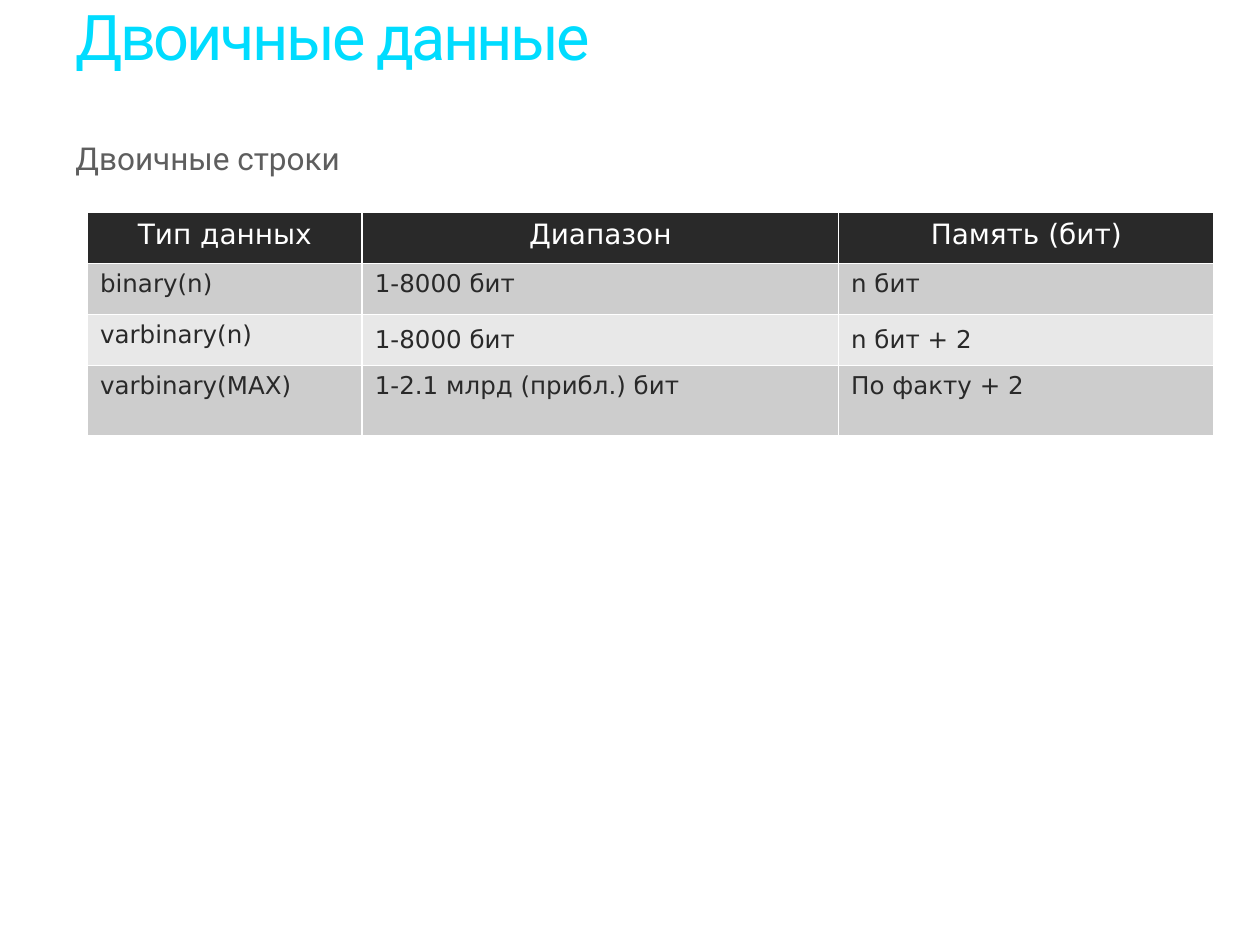
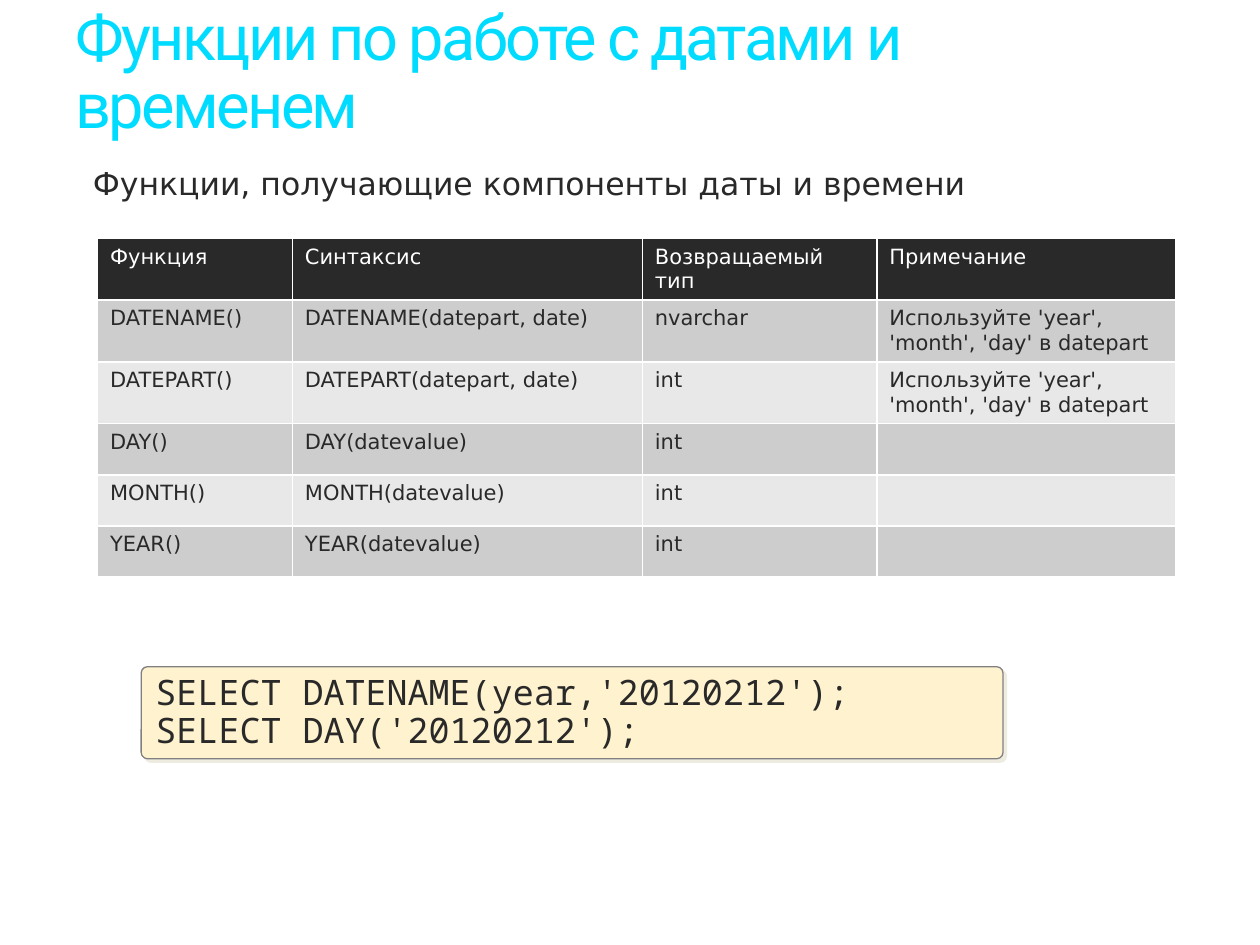
from lxml import etree
from pptx import Presentation
from pptx.dml.color import RGBColor
from pptx.enum import shapes, text
from pptx.oxml import ns
from pptx.util import Pt

SANS, TITLE_FONT, MONO = "DejaVu Sans", "Roboto", "Noto Sans Mono"
CYAN, GRAY, DARK, WHITE = "00DCFF", "5E5E5E", "292929", "FFFFFF"
BANDS = ("CDCDCD", "E8E8E8")
CODE_FILL, CODE_LINE, CODE_SHADOW = "FFF3CF", "808080", "EEECE1"
TITLE_ONLY = 5


def color(value):
    return RGBColor.from_string(value)


def add_xml(parent, tag, **attributes):
    return etree.SubElement(parent, ns.qn(tag), attributes)


class Deck:
    def __init__(self):
        self.presentation = Presentation()
        self.presentation.slide_width = Pt(720)
        self.presentation.slide_height = Pt(540)
        self.slide = None

    def set_text(self, frame, content, size, font, ink, spacing=None,
                 align=text.PP_ALIGN.LEFT):
        frame.text = content
        for paragraph in frame.paragraphs:
            paragraph.alignment = align
            if spacing:
                paragraph.line_spacing = spacing
            paragraph.font.size = Pt(size)
            paragraph.font.name = font
            paragraph.font.bold = False
            paragraph.font.color.rgb = color(ink)

    def add_slide(self, title):
        layout = self.presentation.slide_layouts[TITLE_ONLY]
        self.slide = self.presentation.slides.add_slide(layout)
        shape = self.slide.shapes.title
        shape.left, shape.top, shape.width, shape.height = Pt(36), Pt(0), Pt(612), Pt(58.3)
        frame = shape.text_frame
        frame.auto_size = text.MSO_AUTO_SIZE.NONE
        frame.vertical_anchor = text.MSO_ANCHOR.TOP
        self.set_text(frame, title, 36, TITLE_FONT, CYAN, 0.9)
        frame.paragraphs[0].runs[0]._r.get_or_add_rPr().set("spc", "-150")

    def add_text(self, content, left, top, width, height, font, ink, spacing=None):
        shape = self.slide.shapes.add_textbox(Pt(left), Pt(top), Pt(width), Pt(height))
        shape.text_frame.word_wrap = True
        self.set_text(shape.text_frame, content, 18, font, ink, spacing)

    def add_borders(self, cell):
        properties = cell._tc.get_or_add_tcPr()
        for side in ("a:lnL", "a:lnR", "a:lnT", "a:lnB"):
            line = add_xml(properties, side, w=str(Pt(1)))
            add_xml(add_xml(line, "a:solidFill"), "a:srgbClr", val=WHITE)

    def add_table(self, rows, left, top, widths, heights, header_size, body_size,
                  header_align=text.PP_ALIGN.LEFT, middle_cells=()):
        frame = self.slide.shapes.add_table(
            len(rows), len(widths), Pt(left), Pt(top), Pt(sum(widths)), Pt(sum(heights)))
        table = frame.table
        for column, width in zip(table.columns, widths):
            column.width = Pt(width)
        for row, height in zip(table.rows, heights):
            row.height = Pt(height)
        for i, values in enumerate(rows):
            for j, value in enumerate(values):
                cell = table.cell(i, j)
                self.add_borders(cell)
                cell.fill.solid()
                cell.fill.fore_color.rgb = color(BANDS[(i - 1) % 2] if i else DARK)
                if (i, j) in middle_cells:
                    cell.vertical_anchor = text.MSO_ANCHOR.MIDDLE
                if i:
                    self.set_text(cell.text_frame, value, body_size, SANS, DARK)
                else:
                    self.set_text(cell.text_frame, value, header_size, SANS, WHITE,
                                  align=header_align)

    def add_code(self, content, left, top, width, height):
        shape = self.slide.shapes.add_shape(
            shapes.MSO_SHAPE.ROUNDED_RECTANGLE, Pt(left), Pt(top), Pt(width), Pt(height))
        shape.adjustments[0] = 0.07
        shape.fill.solid()
        shape.fill.fore_color.rgb = color(CODE_FILL)
        shape.line.color.rgb = color(CODE_LINE)
        shape.line.width = Pt(0.75)
        shape.shadow.inherit = False
        effects = shape._element.spPr.find(ns.qn("a:effectLst"))
        shadow = add_xml(effects, "a:outerShdw", dist=str(Pt(2.8)), dir="2700000",
                         algn="ctr", rotWithShape="0")
        add_xml(shadow, "a:srgbClr", val=CODE_SHADOW)
        frame = shape.text_frame
        frame.word_wrap = True
        frame.vertical_anchor = text.MSO_ANCHOR.MIDDLE
        self.set_text(frame, content, 20, MONO, DARK, 0.9)


def add_binary_slide(deck):
    deck.add_slide("Двоичные данные")
    deck.add_text("Двоичные строки", 36, 78.5, 610.6, 345.6, TITLE_FONT, GRAY, 0.9)
    rows = [
        ("Тип данных", "Диапазон", "Память (бит)"),
        ("binary(n)", "1-8000 бит", "n бит"),
        ("varbinary(n)", "1-8000 бит", "n бит + 2"),
        ("varbinary(MAX)", "1-2.1 млрд (прибл.) бит", "По факту + 2"),
    ]
    deck.add_table(rows, 50, 121.3, (157, 272.2, 214.6), (29.2, 29.2, 29.2, 40), 16, 14,
                   text.PP_ALIGN.CENTER, {(2, 1), (2, 2)})


def add_date_slide(deck):
    deck.add_slide("Функции по работе с датами и временем")
    note = "Используйте 'year', 'month', 'day' в datepart"
    rows = [("Функция", "Синтаксис", "Возвращаемый тип", "Примечание")]
    rows += [(f"{name}()", f"{name}(datepart, date)", kind, note)
             for name, kind in (("DATENAME", "nvarchar"), ("DATEPART", "int"))]
    rows += [(f"{name}()", f"{name}(datevalue)", "int", "")
             for name in ("DAY", "MONTH", "YEAR")]
    deck.add_table(rows, 55.7, 136.1, (111.4, 200, 134, 170.6),
                   [35.3] * 3 + [29.2] * 3, 12, 12)
    deck.add_text("Функции, получающие компоненты даты и времени",
                  46, 90, 626.4, 28.8, SANS, DARK)
    deck.add_code("SELECT DATENAME(year,'20120212');\nSELECT DAY('20120212');",
                  80.7, 381, 492.5, 52.6)


def main():
    deck = Deck()
    add_binary_slide(deck)
    add_date_slide(deck)
    deck.presentation.save("out.pptx")


if __name__ == "__main__":
    main()
